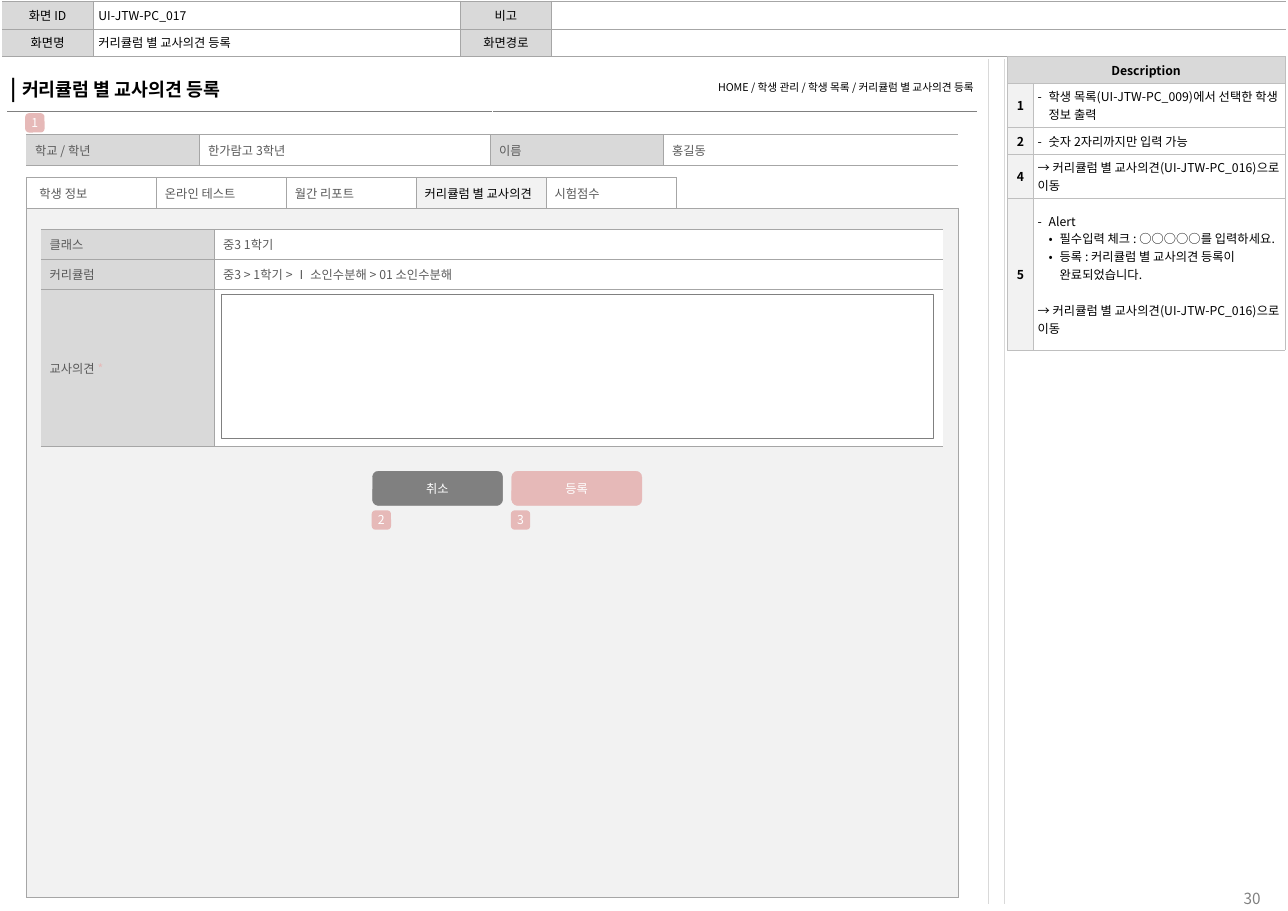
from dataclasses import dataclass

from lxml import etree
from pptx import Presentation
from pptx.dml.color import RGBColor
from pptx.enum.shapes import MSO_CONNECTOR, MSO_SHAPE
from pptx.enum.text import MSO_ANCHOR, MSO_AUTO_SIZE, PP_ALIGN
from pptx.oxml.ns import qn
from pptx.util import Inches, Pt

LEFT, CENTER, RIGHT = PP_ALIGN.LEFT, PP_ALIGN.CENTER, PP_ALIGN.RIGHT
TOP, MIDDLE = MSO_ANCHOR.TOP, MSO_ANCHOR.MIDDLE
NO_AUTOFIT = MSO_AUTO_SIZE.NONE
RECTANGLE, ROUNDED = MSO_SHAPE.RECTANGLE, MSO_SHAPE.ROUNDED_RECTANGLE
STRAIGHT = MSO_CONNECTOR.STRAIGHT

GRID_COLUMNS = 297
SLIDE_WIDTH, SLIDE_HEIGHT = Inches(11.69), Inches(8.27)


@dataclass(frozen=True)
class Theme:
    font: str = "Noto Sans CJK KR"
    ink: str = "000000"
    muted: str = "595959"
    gray: str = "808080"
    border: str = "A6A6A6"
    note_border: str = "BFBFBF"
    rule: str = "D9D9D9"
    shade: str = "D9D9D9"
    panel: str = "F2F2F2"
    paper: str = "FFFFFF"
    accent: str = "E6B9B8"
    bar_size: int = 14
    title_size: int = 12
    page_size: int = 10
    body_size: int = 8
    path_size: int = 7
    hairline: float = 0.25
    line_height: float = 11.6


THEME = Theme()


@dataclass(frozen=True)
class Line:
    text: str
    marker: str = ""
    level: int = 0
    before: float = 0
    size: int = THEME.body_size
    tail: str = ""
    tail_size: int = THEME.body_size
    tail_color: str = THEME.accent


@dataclass(frozen=True)
class Cell:
    lines: tuple[Line, ...] = (Line(""),)
    fill: str = THEME.paper
    color: str = THEME.muted
    bold: bool = False
    align: PP_ALIGN = LEFT
    indent: float | None = None
    sides: str | None = None
    span: int = 1


@dataclass(frozen=True)
class Sheet:
    left: float
    top: float
    columns: tuple[float, ...]
    rows: tuple[float, ...]
    cells: tuple[tuple[Cell, ...], ...]
    pad: tuple[float, float, float, float] = (2, 0, 0, 0)
    border: str = THEME.border
    divider: str = ""
    closed: bool = False


@dataclass(frozen=True)
class Block:
    left: float
    top: float
    width: float
    height: float
    text: str
    fill: str
    outline: float = THEME.hairline


def grid(units: float) -> int:
    return round(units * SLIDE_WIDTH / GRID_COLUMNS)


def rgb(value: str) -> RGBColor:
    return RGBColor.from_string(value)


def write(paragraph, text: str, *, size: int = THEME.body_size, color: str = THEME.ink,
          bold: bool = False, align: PP_ALIGN = LEFT, marker: str = "", level: int = 0,
          before: float = 0) -> None:
    paragraph.alignment = align
    properties = paragraph._p.get_or_add_pPr()
    properties.set("hangingPunct", "0")
    if marker:
        properties.set("marL", str(grid(2.54 * level)))
        properties.set("indent", str(-grid(2.54)))
        etree.SubElement(properties, qn("a:buFont"), typeface=THEME.font)
        etree.SubElement(properties, qn("a:buChar"), char=marker)
    if before:
        paragraph.space_before = Pt(before)
    if not text:
        etree.SubElement(paragraph._p, qn("a:endParaRPr"), sz=str(size * 100))
        return
    run = paragraph.add_run()
    run.text = text
    run.font.size = Pt(size)
    run.font.bold = bold
    run.font.color.rgb = rgb(color)
    run.font.name = THEME.font
    etree.SubElement(run._r.get_or_add_rPr(), qn("a:ea"), typeface=THEME.font)


def set_frame(frame, pad: tuple[float, float, float, float], anchor: MSO_ANCHOR = MIDDLE) -> None:
    frame.word_wrap = True
    frame.auto_size = NO_AUTOFIT
    frame.vertical_anchor = anchor
    frame.margin_left, frame.margin_top, frame.margin_right, frame.margin_bottom = map(grid, pad)


def set_borders(cell, sides: str, sheet: Sheet) -> None:
    properties = cell._tc.get_or_add_tcPr()
    for place, side in enumerate("LRTB"):
        drawn = side.lower() in sides
        color = sheet.border if drawn else sheet.divider
        edge = etree.Element(qn(f"a:ln{side}"), w=str(Pt(THEME.hairline if drawn else 1)))
        if color:
            paint = etree.SubElement(edge, qn("a:solidFill"))
            etree.SubElement(paint, qn("a:srgbClr"), val=color)
        else:
            etree.SubElement(edge, qn("a:noFill"))
        properties.insert(place, edge)


def fill_cell(cell, content: Cell, sheet: Sheet) -> None:
    left, top, right, bottom = sheet.pad
    cell.margin_left = grid(left if content.indent is None else content.indent)
    cell.margin_top, cell.margin_right, cell.margin_bottom = grid(top), grid(right), grid(bottom)
    cell.vertical_anchor = MIDDLE
    cell.fill.solid()
    cell.fill.fore_color.rgb = rgb(content.fill)
    for number, line in enumerate(content.lines):
        frame = cell.text_frame
        paragraph = frame.add_paragraph() if number else frame.paragraphs[0]
        write(paragraph, line.text, size=line.size, color=content.color, bold=content.bold,
              align=content.align, marker=line.marker, level=line.level, before=line.before)
        if line.tail:
            write(paragraph, line.tail, size=line.tail_size, color=line.tail_color,
                  bold=content.bold, align=content.align)


def draw_sheet(slide, sheet: Sheet) -> None:
    table = slide.shapes.add_table(
        len(sheet.rows), len(sheet.columns), grid(sheet.left), grid(sheet.top),
        grid(sum(sheet.columns)), grid(sum(sheet.rows))).table
    table.first_row = table.horz_banding = False
    for column, width in zip(table.columns, sheet.columns):
        column.width = grid(width)
    last = len(sheet.columns) - 1
    for r, height in enumerate(sheet.rows):
        table.rows[r].height = grid(height)
        for c, content in enumerate(sheet.cells[r]):
            cell = table.cell(r, c)
            if content.span > 1:
                cell.merge(table.cell(r, c + content.span - 1))
            fill_cell(cell, content, sheet)
            open_sides = "tb" + ("l" if c else "") + ("r" if c < last else "")
            sides = content.sides or ("lrtb" if sheet.closed else open_sides)
            for offset in range(content.span):
                set_borders(table.cell(r, c + offset), sides, sheet)


def draw_block(slide, block: Block) -> None:
    shape = slide.shapes.add_shape(ROUNDED, *map(grid, (block.left, block.top, block.width, block.height)))
    shape.shadow.inherit = False
    shape.fill.solid()
    shape.fill.fore_color.rgb = shape.line.color.rgb = rgb(block.fill)
    shape.line.width = Pt(block.outline)
    set_frame(shape.text_frame, (0, 0, 0, 0))
    write(shape.text_frame.paragraphs[0], block.text, color=THEME.paper, align=CENTER)


def value(text: str, **look) -> Cell:
    return Cell((Line(text),), **look)


def label(text: str) -> Cell:
    return value(text, fill=THEME.shade)


def heading(text: str) -> Cell:
    return value(text, fill=THEME.shade, color=THEME.ink, align=CENTER)


def note_row(number: str, *lines: Line) -> tuple[Cell, Cell]:
    return (value(number, fill=THEME.panel, color=THEME.ink, bold=True, align=CENTER),
            Cell(lines, color=THEME.ink))


def badge(left: float, top: float, number: str) -> Block:
    return Block(left, top, 4.1, 4.1, number, THEME.accent, outline=1)


SCREEN = "커리큘럼 별 교사의견 등록"
MOVE = "→ 커리큘럼 별 교사의견(UI-JTW-PC_016)으로 이동"
TITLE = Line("| ", size=THEME.bar_size, tail=SCREEN, tail_size=THEME.title_size, tail_color=THEME.ink)
BREADCRUMB = Line(f"HOME / 학생 관리 / 학생 목록 / {SCREEN}", size=THEME.path_size)

SHEETS = (
    Sheet(6.1, 40.9, (29.95,) * 5 + (65.05,), (7.1, 159), (
        (value("학생 정보", indent=3), value("온라인 테스트"), value("월간 리포트"),
         value("커리큘럼 별 교사의견", fill=THEME.panel, color=THEME.ink), value("시험점수"),
         Cell(sides="lb")),
        (Cell(fill=THEME.panel, span=6),)), closed=True),
    Sheet(6.1, 31, (39.9, 67.1, 39.9, 67.9), (7.1,), (
        (label("학교 / 학년"), value("한가람고 3학년"), label("이름"), value("홍길동")),)),
    Sheet(0.5, 0.25, (21, 84.7, 21, 169.3), (6.45, 6.25), (
        (heading("화면 ID"), value("UI-JTW-PC_017", color=THEME.ink), heading("비고"), Cell()),
        (heading("화면명"), value(SCREEN, color=THEME.ink), heading("화면경로"), Cell())),
        pad=(1.2, 1, 1.2, 1)),
    Sheet(9.45, 52.9, (40, 168), (6.9, 6.9, 36.2), (
        (label("클래스"), value("중3 1학기")),
        (label("커리큘럼"), value("중3 > 1학기 > Ⅰ 소인수분해 > 01 소인수분해")),
        (Cell((Line("교사의견 ", tail="*"),), fill=THEME.shade), Cell()))),
    Sheet(1.5, 14.5, (112, 112), (11.1,), (
        (Cell((TITLE,), color=THEME.ink, bold=True, sides="b"),
         Cell((BREADCRUMB,), color=THEME.ink, align=RIGHT, indent=0, sides="b")),),
        pad=(1, 2, 1, 2), border=THEME.gray, divider=THEME.paper),
    Sheet(232.3, 13, (6, 58), (6.2, 10.1, 6.2, 10.1, 34.8), (
        (value("Description", fill=THEME.shade, color=THEME.ink, bold=True, align=CENTER, span=2),),
        note_row("1", Line("학생 목록(UI-JTW-PC_009)에서 선택한 학생 정보 출력", "-", 1)),
        note_row("2", Line("숫자 2자리까지만 입력 가능", "-", 1)),
        note_row("4", Line(MOVE)),
        note_row("5", Line("Alert", "-", 1),
                 Line("필수입력 체크 : ○○○○○를 입력하세요.", "•", 2),
                 Line("등록 : 커리큘럼 별 교사의견 등록이 완료되었습니다.", "•", 2),
                 Line(MOVE, before=THEME.line_height))),
        pad=(1, 1, 1, 1), border=THEME.note_border, closed=True),
)

BUTTONS = (("취소", THEME.gray, "2"), ("등록", THEME.accent, "3"))
BUTTON_LEFT, BUTTON_STEP = 85.9, 32.1


def main() -> None:
    deck = Presentation()
    deck.slide_width, deck.slide_height = SLIDE_WIDTH, SLIDE_HEIGHT
    slide = deck.slides.add_slide(deck.slide_layouts[6])

    page = slide.shapes.add_textbox(*map(grid, (284, 203.7, 12.9, 6.2))).text_frame
    set_frame(page, (2.8, 1.5, 0, 0), TOP)
    write(page.paragraphs[0], "30", size=THEME.page_size, color=THEME.gray)

    for x in (228, 231.6):
        divider = slide.shapes.add_connector(STRAIGHT, *map(grid, (x, 13.7, x, 208.5)))
        divider.line.color.rgb = rgb(THEME.rule)
        divider.line.width = Pt(0.75)
        etree.SubElement(divider._element.spPr, qn("a:effectLst"))
    for sheet in SHEETS:
        draw_sheet(slide, sheet)

    opinion = slide.shapes.add_shape(RECTANGLE, *map(grid, (51.1, 67.8, 164, 33.2)))
    opinion.shadow.inherit = False
    opinion.fill.background()
    opinion.line.color.rgb = rgb(THEME.gray)
    opinion.line.width = Pt(THEME.hairline)

    draw_block(slide, badge(6, 26.3, "1"))
    for order, (text, fill, number) in enumerate(BUTTONS):
        left = BUTTON_LEFT + order * BUTTON_STEP
        draw_block(slide, Block(left, 108.7, 30, 7.9, text, fill))
        draw_block(slide, badge(left, 117.9, number))

    deck.save("out.pptx")


if __name__ == "__main__":
    main()
